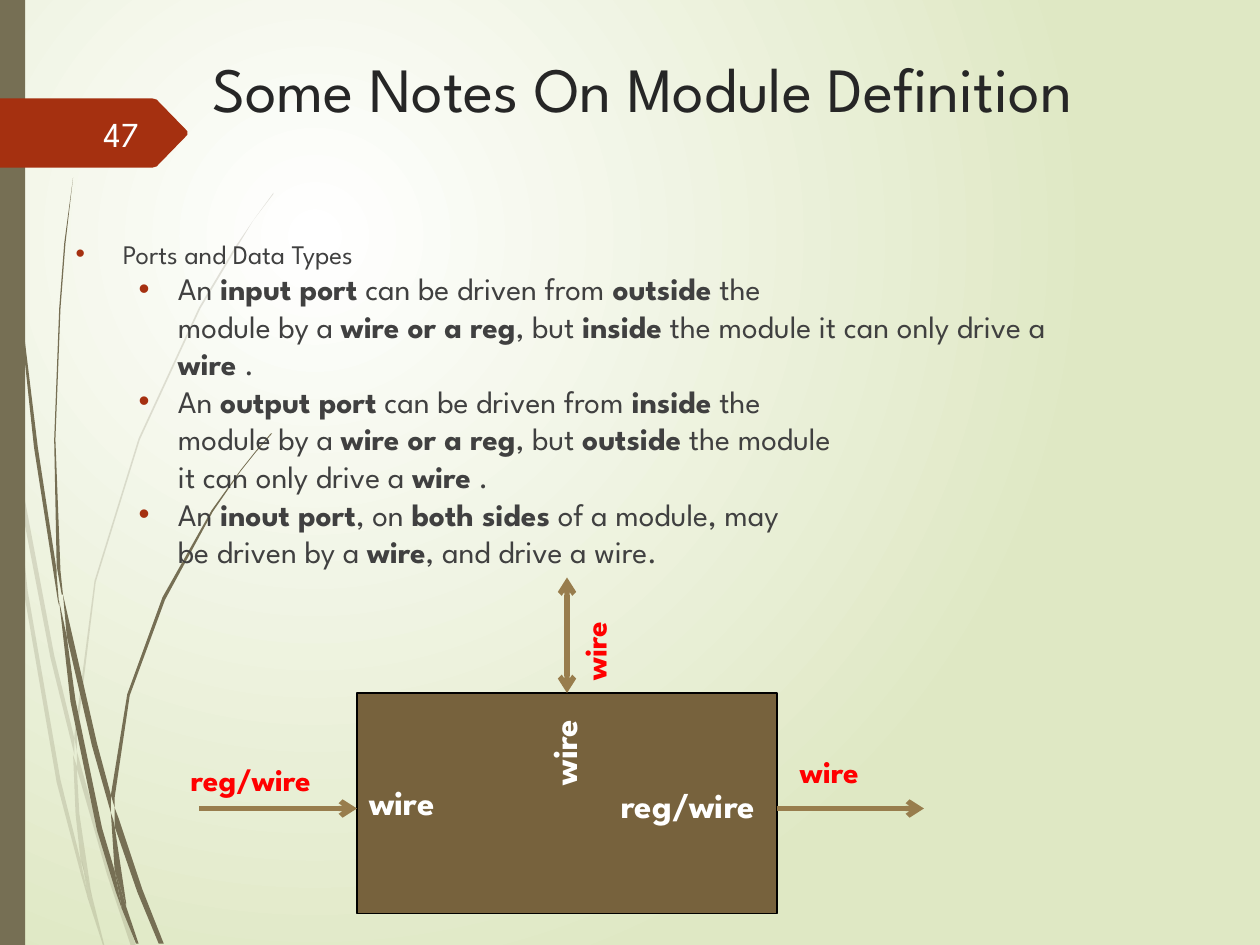
from dataclasses import dataclass

from lxml import etree
from pptx import Presentation
from pptx.dml.color import RGBColor
from pptx.enum.shapes import MSO_CONNECTOR, MSO_SHAPE
from pptx.enum.text import MSO_ANCHOR, MSO_AUTO_SIZE, PP_ALIGN
from pptx.oxml.ns import qn
from pptx.util import Pt

STRAIGHT = MSO_CONNECTOR.STRAIGHT
RECT = MSO_SHAPE.RECTANGLE
TOP, MIDDLE = MSO_ANCHOR.TOP, MSO_ANCHOR.MIDDLE
NO_FIT, GROW = MSO_AUTO_SIZE.NONE, MSO_AUTO_SIZE.SHAPE_TO_FIT_TEXT
LEFT, RIGHT = PP_ALIGN.LEFT, PP_ALIGN.RIGHT


@dataclass(frozen=True)
class Theme:
    font: str = "League Spartan"
    glow: str = "FFFFFF"
    back: str = "DFE8C4"
    wisp: str = "766F54"
    accent: str = "A53010"
    title: str = "262626"
    text: str = "404040"
    number: str = "FEFFFF"
    block: str = "77623D"
    edge: str = "000000"
    arrow: str = "987D4D"
    outer: str = "FF0000"
    inner: str = "FFFFFF"
    title_size: float = 36
    head_size: float = 15.3
    item_size: float = 17.9
    number_size: float = 20
    outer_size: float = 18
    inner_size: float = 20


THEME = Theme()
UNIT = 0.72

FAINT_WISPS = [
    "8 350 6 322 0 282 0 299 7 344",
    "40 522 59 599 59 586 43 520 10 345 12 376",
    "64 607 61 596 61 610 85 694 104 751 108 751 88 692",
    "64 683 48 619 22 469 12 376 8 350 19 470 45 621 64 693 70 714 69 707",
    "58 599 60 646 64 683 67 692 73 711 72 706 63 646 61 610 61 608",
    "61 584 76 462 111 349 159 245 187 198 201 175 217 154 217 153 201 175 186 197 158 244 "
    "110 348 75 461 59 584 59 586 61 596",
    "67 692 65 683 69 707 70 714 82 751 83 751 73 711",
]
DARK_WISPS = [
    "5 110 14 233 27 355 46 477 47 481 45 457 45 453 30 355 15 232 6 109 4 48 3 0 2 0 3 48",
    "73 592 88 645 88 633 88 631 77 590 50 472 53 505",
    "94 649 91 641 91 656 109 708 126 749 130 749 113 706",
    "91 691 81 657 60 556 53 505 47 477 56 557 77 659 92 708 97 722 96 717",
    "50 472 48 453 44 349 48 245 52 193 58 141 51 193 47 245 43 349 45 449 49 472",
    "91 633 103 552 131 476 169 406 191 374 203 359 216 344 215 344 203 358 191 373 168 405 "
    "129 474 101 551 88 631 91 641",
    "88 645 91 691 96 706 100 719 100 716 91 656 90 651",
    "96 706 91 691 96 717 97 722 108 749 110 749 100 719",
]
TAG = [(0, 0), (87, 0), (89.5, 0.7), (107, 18.7), (107, 20.9), (89.5, 38.9), (87, 39.6), (0, 39.6)]

NOTES = [
    (0, "Ports and Data Types"),
    (1, "An **input port** can be driven from **outside** the\nmodule by a **wire or a reg**, "
        "but **inside** the module it can only drive a **wire** ."),
    (1, "An **output port** can be driven from **inside** the\nmodule by a **wire or a reg**, "
        "but **outside** the module\nit can only drive a **wire** ."),
    (1, "An **inout port**, on **both sides** of a module, may\nbe driven by a **wire**, and drive a wire."),
]
INDENTS = [(27, -27), (58.5, -22.5)]


def rgb(color):
    return RGBColor.from_string(color)


def add_run(p, text, size, color, bold=False):
    r = p.add_run()
    r.text = text
    r.font.name, r.font.size, r.font.bold = THEME.font, Pt(size), bold
    r.font.color.rgb = rgb(color)


def paint(sp, color, edge=None):
    sp.shadow.inherit = False
    sp.fill.solid()
    sp.fill.fore_color.rgb = rgb(color)
    if edge:
        sp.line.color.rgb, sp.line.width = rgb(edge), Pt(0.75)
    else:
        sp.line.fill.background()


def add_outline(shapes, points, color):
    start, *rest = [(Pt(x), Pt(y)) for x, y in points]
    builder = shapes.build_freeform(*start)
    builder.add_line_segments(rest, close=True)
    sp = builder.convert_to_shape()
    paint(sp, color)
    return sp


def add_wisps(slide, outlines, box, alpha=100):
    x, y = box[:2]
    group = slide.shapes.add_group_shape()
    for outline in outlines:
        nums = [int(n) * UNIT for n in outline.split()]
        points = [(x + a, y + b) for a, b in zip(nums[::2], nums[1::2])]
        sp = add_outline(group.shapes, points, THEME.wisp)
        if alpha < 100:
            clr = sp._element.spPr.find(".//" + qn("a:srgbClr"))
            etree.SubElement(clr, qn("a:alpha"), val=str(alpha * 1000))


def add_label(slide, box, text, size, color, bold=True, rotation=0, align=LEFT, anchor=TOP, fit=GROW):
    sp = slide.shapes.add_textbox(*(Pt(v) for v in box))
    sp.rotation = rotation
    tf = sp.text_frame
    tf.word_wrap, tf.auto_size, tf.vertical_anchor = True, fit, anchor
    p = tf.paragraphs[0]
    p.alignment = align
    add_run(p, text, size, color, bold)


def add_backdrop(slide, box):
    x, y, w, h = box
    fill = slide.background.fill
    fill.gradient()
    for stop, color in zip(fill.gradient_stops, (THEME.glow, THEME.back)):
        stop.color.rgb = rgb(color)
    grad = slide._element.find(".//" + qn("a:gradFill"))
    grad.remove(grad.find(qn("a:lin")))
    circle = etree.SubElement(grad, qn("a:path"), attrib={"path": "circle"})
    etree.SubElement(circle, qn("a:fillToRect"), l="50000", t="50000", r="100000", b="100000")
    add_wisps(slide, FAINT_WISPS, box, 20)
    add_wisps(slide, DARK_WISPS, box)
    bar = slide.shapes.add_shape(RECT, Pt(x), Pt(y), Pt(14.4), Pt(h))
    paint(bar, THEME.wisp)


def add_number_tag(slide, box, number):
    x, y = box[:2]
    add_outline(slide.shapes, [(x + a, y + b) for a, b in TAG], THEME.accent)
    add_label(slide, (x + 40.3, y + 5.8, 46, 28.8), number, THEME.number_size, THEME.number,
              bold=False, align=RIGHT, anchor=MIDDLE, fit=NO_FIT)


def fill_placeholder(slide, sp, box):
    slide.shapes._spTree.append(sp._element)
    sp.left, sp.top, sp.width, sp.height = (Pt(v) for v in box)
    tf = sp.text_frame
    tf.word_wrap, tf.auto_size, tf.vertical_anchor = True, NO_FIT, TOP
    return tf


def add_title(slide, box, text):
    p = fill_placeholder(slide, slide.shapes.title, box).paragraphs[0]
    p.alignment = LEFT
    add_run(p, text, THEME.title_size, THEME.title)


def add_notes_list(slide, box, notes):
    tf = fill_placeholder(slide, slide.placeholders[1], box)
    for n, (level, text) in enumerate(notes):
        p = tf.add_paragraph() if n else tf.paragraphs[0]
        p.level, p.space_before = level, Pt(0)
        pPr = p._p.get_or_add_pPr()
        for name, value in zip(("marL", "indent"), INDENTS[level]):
            pPr.set(name, str(Pt(value)))
        etree.SubElement(etree.SubElement(pPr, qn("a:buClr")), qn("a:srgbClr"), val=THEME.accent)
        etree.SubElement(pPr, qn("a:buFont"), typeface="Arial")
        etree.SubElement(pPr, qn("a:buChar"), char="•")
        size = THEME.item_size if level else THEME.head_size
        for i, piece in enumerate(text.split("**")):
            for j, line in enumerate(piece.split("\n")):
                if j:
                    p.add_line_break()
                    etree.SubElement(p._p[-1], qn("a:rPr"), sz=str(round(size * 100)))
                add_run(p, line, size, THEME.text, bold=i % 2 == 1)


def add_arrow(slide, start, end, ends=("tailEnd",)):
    line = slide.shapes.add_connector(STRAIGHT, *(Pt(v) for v in start + end))
    line.line.color.rgb, line.line.width = rgb(THEME.arrow), Pt(3)
    etree.SubElement(line._element.spPr, qn("a:effectLst"))
    for name in ends:
        etree.SubElement(line.line._get_or_add_ln(), qn("a:" + name), type="arrow")
    return line


def add_port_diagram(slide, box):
    x, y, w, h = box
    block = slide.shapes.add_shape(RECT, *(Pt(v) for v in box))
    paint(block, THEME.block, THEME.edge)
    mid, port_y = x + w / 2, y + 66
    add_arrow(slide, (x - 90, port_y), (x, port_y))
    add_arrow(slide, (x + w, port_y), (x + w + 84, port_y))
    inout = add_arrow(slide, (mid, y), (mid, y - 66), ("headEnd", "tailEnd"))
    inout.begin_connect(block, 0)
    outer, inner = (THEME.outer_size, THEME.outer), (THEME.inner_size, THEME.inner)
    for dx, dy, width, height, text, style, rotation in (
        (-102, 34.5, 120, 29, "reg/wire", outer, 0),
        (144, 48, 102, 31.5, "reg/wire", inner, 0),
        (246, 30, 90, 29, "wire", outer, 0),
        (0, 46.5, 66, 31.5, "wire", inner, 0),
        (105.6, -44.6, 60, 29, "wire", outer, 270),
        (82, 8, 72, 31.5, "wire", inner, 270),
    ):
        add_label(slide, (x + dx, y + dy, width, height), text, *style, rotation=rotation)


def main():
    prs = Presentation()
    prs.slide_width, prs.slide_height = Pt(720), Pt(540)
    slide = prs.slides.add_slide(prs.slide_layouts[1])
    add_backdrop(slide, (0, 0, 720, 540))
    add_number_tag(slide, (0, 56.2, 107.3, 39.6), "47")
    add_title(slide, (114, 24.5, 606, 100.8), "Some Notes On Module Definition")
    add_notes_list(slide, (36, 132, 588, 198), NOTES)
    add_port_diagram(slide, (204, 396, 240, 126))
    prs.save("out.pptx")


if __name__ == "__main__":
    main()
